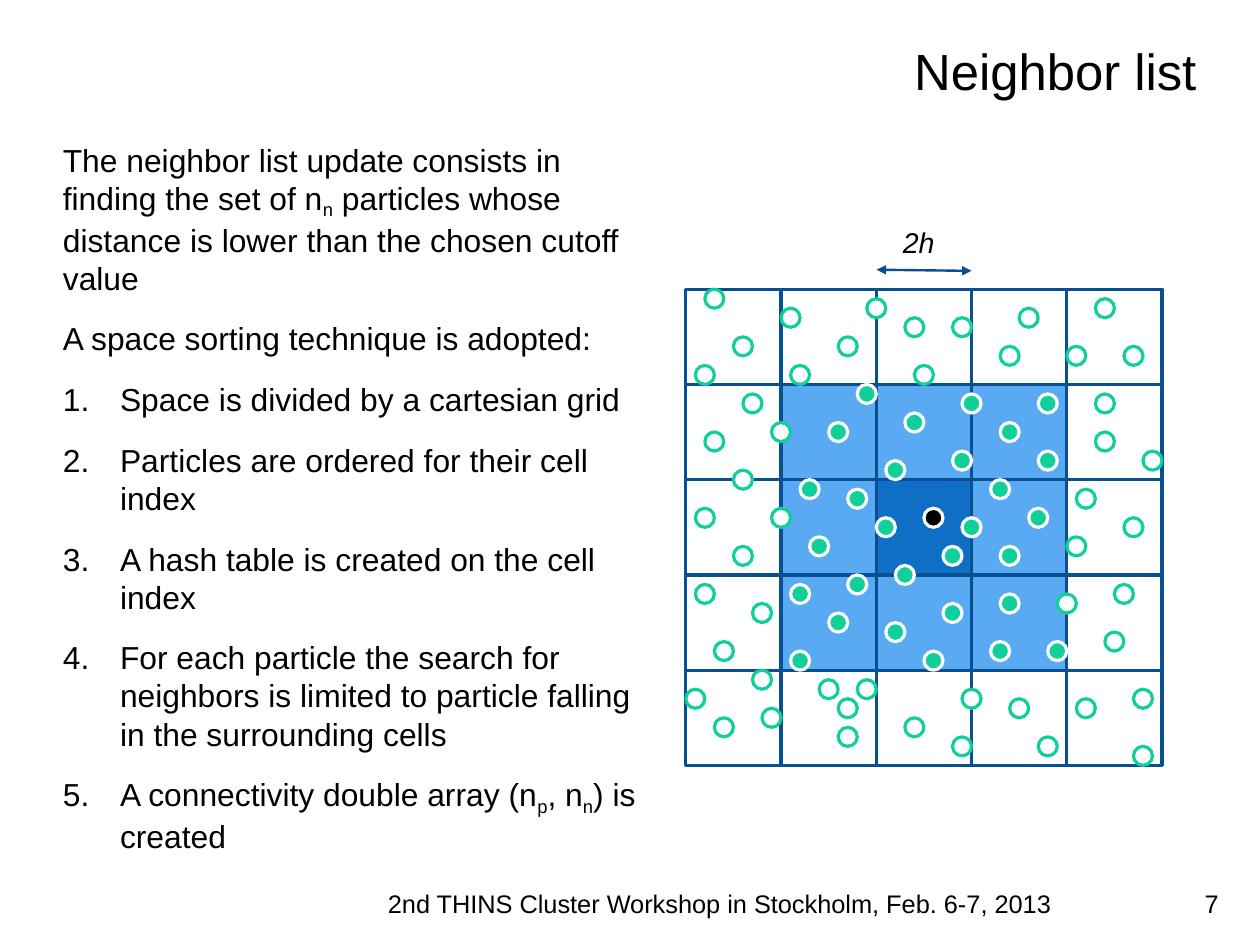
from itertools import product

from lxml import etree
from pptx import Presentation
from pptx import util as u
from pptx.dml import color
from pptx.enum import shapes, text
from pptx.oxml import ns

COLORS = {
    "ink": "000000",
    "paper": "FFFFFF",
    "grid": "085091",
    "arrow": "065093",
    "nearby": "59AAF2",
    "center": "0F6FC6",
    "particle": "10CF9B",
}

CM_PER_INCH = 2.54
LEFT, TOP = 6, 2.53
STEP = 1 / 12
GRID_SIZE = 5
CELL_STEPS = 10
PARTICLE_STEPS = 2

FOCUS = [(25, 23)]
NEIGHBORS = [
    (27, 27), (29, 24), (28, 17), (20, 24), (32, 20), (33, 27), (22, 29), (27, 33),
    (33, 32), (33, 14), (21, 18), (23, 13), (29, 11), (15, 14), (17, 21), (13, 26),
    (12, 20), (17, 30), (15, 34), (21, 35), (25, 38), (32, 37), (38, 37), (36, 23),
    (37, 17), (37, 11), (11, 31), (11, 38), (18, 10),
]
OUTSIDERS = [
    (39, 32), (40, 26), (33, 6), (40, 6), (43, 11), (43, 15), (41, 21), (46, 24),
    (48, 17), (45, 31), (44, 36), (47, 42), (41, 43), (34, 43), (29, 42), (23, 45),
    (18, 41), (9, 23), (9, 14), (11, 8), (24, 8), (28, 3), (35, 2), (43, 1),
    (46, 6), (23, 3), (16, 5), (19, 1), (10, 2), (2, 0), (5, 5), (1, 8),
    (6, 11), (2, 15), (5, 19), (1, 23), (5, 27), (7, 33), (1, 31), (3, 37),
    (0, 42), (8, 44), (14, 41), (16, 46), (7, 40), (3, 45), (28, 47), (37, 47),
    (47, 48), (16, 43),
]
INTRO = [
    "The neighbor list update consists in finding the set of n|n| particles "
    "whose distance is lower than the chosen cutoff value",
    "A space sorting technique is adopted:",
]
STEPS = [
    "Space is divided by a cartesian grid",
    "Particles are ordered for their cell index",
    "A hash table is created on the cell index",
    "For each particle the search for neighbors is limited to particle "
    "falling in the surrounding cells",
    "A connectivity double array (n|p|, n|n|) is created",
]


def rgb(name):
    return color.RGBColor.from_string(COLORS[name])


def apply(target, values):
    for name, value in values.items():
        setattr(target, name, value)


def add_box(s, at, margins=(0, 0, 0, 0), **frame):
    tf = s.shapes.add_textbox(*map(u.Inches, at)).text_frame
    sides = ("margin_left", "margin_top", "margin_right", "margin_bottom")
    apply(tf, dict(zip(sides, map(u.Inches, margins))))
    apply(tf, {"word_wrap": True, **frame})
    return tf


def write(p, content, size, italic=None, **layout):
    apply(p, layout)
    for i, part in enumerate(content.split("|")):
        r = p.add_run()
        r.text = part
        apply(r.font, {"name": "Arial", "size": u.Pt(size), "italic": italic})
        r.font.color.rgb = rgb("ink")
        if i % 2:
            r.font._element.set("baseline", "-20000")


def add_number(p):
    pPr = p._p.get_or_add_pPr()
    indents = {"marL": u.Inches(0.5), "indent": u.Inches(-0.5)}
    for name, value in indents.items():
        pPr.set(name, str(value))
    etree.SubElement(pPr, ns.qn("a:buAutoNum"), type="arabicPeriod")


def add_body(s):
    tf = add_box(s, (0.55, 1.2, 5.15, 6.4), (0, 0.03, 0, 0))
    for i, content in enumerate(INTRO + STEPS):
        p = tf.add_paragraph() if i else tf.paragraphs[0]
        if i >= len(INTRO):
            add_number(p)
        write(p, content, 20, space_after=u.Pt(14.2))


def add_mark(parent, kind, col, row, steps, fill, line):
    place = (LEFT + col * STEP, TOP + row * STEP, steps * STEP, steps * STEP)
    sp = parent.shapes.add_shape(kind, *map(u.Inches, place))
    sp.shadow.inherit = False
    if fill:
        sp.fill.solid()
        sp.fill.fore_color.rgb = rgb(fill)
    else:
        sp.fill.background()
    sp.line.color.rgb = rgb(line)
    sp.line.width = u.Pt(2)


def add_grid(s):
    group = s.shapes.add_group_shape()
    middle = GRID_SIZE // 2
    fills = {0: "center", 1: "nearby"}
    for row, col in product(range(GRID_SIZE), repeat=2):
        distance = max(abs(row - middle), abs(col - middle))
        add_mark(group, shapes.MSO_SHAPE.RECTANGLE, col * CELL_STEPS,
                 row * CELL_STEPS, CELL_STEPS, fills.get(distance), "grid")


def add_particles(s, places, fill, line):
    for col, row in places:
        add_mark(s, shapes.MSO_SHAPE.OVAL, col, row, PARTICLE_STEPS, fill, line)


def add_double_arrow(s, *ends):
    sp = s.shapes.add_connector(shapes.MSO_CONNECTOR.STRAIGHT, *map(u.Inches, ends))
    sp.line.color.rgb = rgb("arrow")
    sp.line.width = u.Pt(1.5)
    ln = sp.line._get_or_add_ln()
    for end in ("a:headEnd", "a:tailEnd"):
        etree.SubElement(ln, ns.qn(end), type="triangle")
    etree.SubElement(sp._element.spPr, ns.qn("a:effectLst"))


def main():
    prs = Presentation()
    prs.slide_width = u.Inches(28 / CM_PER_INCH)
    prs.slide_height = u.Inches(21 / CM_PER_INCH)
    s = prs.slides.add_slide(prs.slide_layouts[6])

    footer = add_box(s, (3.12, 7.77, 6.08, 0.34))
    write(footer.paragraphs[0], "2nd THINS Cluster Workshop in Stockholm, Feb. 6-7, 2013",
          16, alignment=text.PP_ALIGN.RIGHT)
    number = add_box(s, (10.44, 7.77, 0.32, 0.34))
    write(number.paragraphs[0], "7", 16, alignment=text.PP_ALIGN.CENTER)
    title = add_box(s, (1.38, 0.33, 9.09, 0.57), vertical_anchor=text.MSO_ANCHOR.MIDDLE)
    write(title.paragraphs[0], "Neighbor list", 32, alignment=text.PP_ALIGN.RIGHT)
    add_body(s)

    add_grid(s)
    add_particles(s, FOCUS, "ink", "paper")
    add_particles(s, NEIGHBORS, "particle", "paper")
    add_particles(s, OUTSIDERS, "paper", "particle")

    add_double_arrow(s, 7.67, 2.36, 8.5, 2.37)
    label = add_box(s, (7.8, 1.95, 0.51, 0.4), (0.1, 0.05, 0.1, 0.05),
                    word_wrap=False, auto_size=text.MSO_AUTO_SIZE.SHAPE_TO_FIT_TEXT)
    write(label.paragraphs[0], "2h", 18, italic=True, line_spacing=0.93)

    prs.save("out.pptx")


if __name__ == "__main__":
    main()
